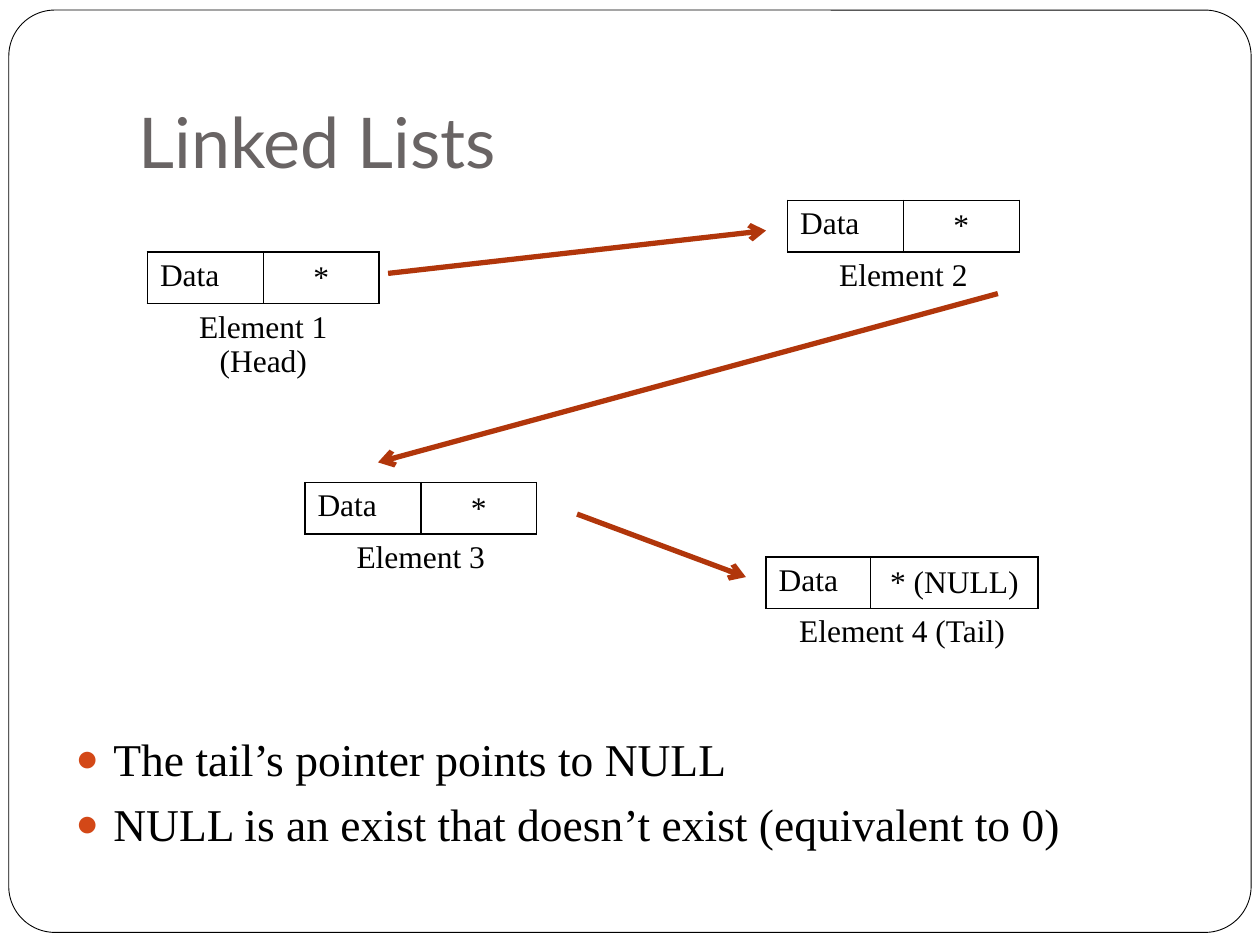
from lxml.etree import Element, SubElement
from pptx import Presentation
from pptx.dml.color import RGBColor
from pptx.enum.shapes import MSO_CONNECTOR as Connector, MSO_SHAPE as Shape
from pptx.enum.text import MSO_ANCHOR as Anchor, MSO_AUTO_SIZE as AutoSize, PP_ALIGN as Align
from pptx.oxml.ns import qn
from pptx.util import Inches, Pt

COLORS = {
    "paper": "FFFFFF",
    "ink": "000000",
    "title": "696464",
    "bullet": "D34817",
    "arrow": "B1360B",
}
TITLE_FONT = "Lato"
TEXT_FONT = "Times New Roman"
PLAIN_TABLE_STYLE = "{2D5ABB26-0587-4C30-8999-92F81FD0307C}"
ROW_HEIGHT = 0.41


def color(name):
    return RGBColor.from_string(COLORS[name])


class SlideBuilder:
    def __init__(self, page):
        self.page = page

    def style(self, para, size, font=TEXT_FONT, ink="ink", align=Align.LEFT):
        para.alignment = align
        para.font.size = Pt(size)
        para.font.name = font
        para.font.color.rgb = color(ink)

    def place(self, shape, left, top, width, height):
        shape.left, shape.top = Inches(left), Inches(top)
        shape.width, shape.height = Inches(width), Inches(height)

    def frame(self, left, top, width, height):
        """Draw the rounded page border behind everything else."""
        box = self.page.shapes.add_shape(
            Shape.ROUNDED_RECTANGLE, Inches(left), Inches(top), Inches(width), Inches(height))
        box.adjustments[0] = 0.05
        box.shadow.inherit = False
        box.fill.solid()
        box.fill.fore_color.rgb = color("paper")
        box.line.color.rgb = color("ink")
        box.line.width = Pt(0.5)
        self.page.shapes[0].element.addprevious(box.element)

    def title(self, text, *place):
        box = self.page.shapes.title
        self.place(box, *place)
        text_frame = box.text_frame
        text_frame.text = text
        text_frame.auto_size = AutoSize.NONE
        text_frame.vertical_anchor = Anchor.BOTTOM
        text_frame.margin_bottom = Inches(0.1)
        self.style(text_frame.paragraphs[0], 40, TITLE_FONT, "title")

    def bullets(self, lines, *place):
        box = self.page.placeholders[1]
        self.place(box, *place)
        box.text_frame.text = "\n".join(lines)
        box.text_frame.auto_size = AutoSize.NONE
        for para in box.text_frame.paragraphs:
            self.style(para, 26)
            para.space_before = Pt(5.8)
            props = para._p.get_or_add_pPr()
            props.set("marL", str(Inches(0.3)))
            props.set("indent", str(-Inches(0.3)))
            SubElement(SubElement(props, qn("a:buClr")), qn("a:srgbClr"), val=COLORS["bullet"])
            SubElement(props, qn("a:buSzPct"), val="85000")
            SubElement(props, qn("a:buChar"), char="●")

    def borders(self, cell, visible_sides):
        props = cell._tc.get_or_add_tcPr()
        for index, side in enumerate("LRTB"):
            line = Element(qn(f"a:ln{side}"), w=str(Pt(1)))
            if side in visible_sides:
                fill = SubElement(line, qn("a:solidFill"))
                SubElement(fill, qn("a:srgbClr"), val=COLORS["ink"])
            else:
                SubElement(line, qn("a:noFill"))
            props.insert(index, line)

    def node(self, left, top, caption, pointer="*", widths=(0.92, 0.92)):
        """Draw a list element: data and pointer cells above a merged caption."""
        table = self.page.shapes.add_table(
            2, 2, Inches(left), Inches(top), Inches(sum(widths)), Inches(2 * ROW_HEIGHT)).table
        table.first_row = table.horz_banding = False
        table._tbl.tblPr.find(qn("a:tableStyleId")).text = PLAIN_TABLE_STYLE
        for column, width in zip(table.columns, widths):
            column.width = Inches(width)
        for row in table.rows:
            row.height = Inches(ROW_HEIGHT)
        table.cell(1, 0).merge(table.cell(1, 1))
        contents = [
            (0, 0, "Data", Align.LEFT, Anchor.TOP),
            (0, 1, pointer, Align.CENTER, Anchor.MIDDLE),
            (1, 0, caption, Align.CENTER, Anchor.TOP),
        ]
        for row, column, text, align, anchor in contents:
            cell = table.cell(row, column)
            cell.text = text
            cell.vertical_anchor = anchor
            cell.fill.background()
            self.style(cell.text_frame.paragraphs[0], 18, align=align)
        for row, sides in enumerate(("LRTB", "T")):
            for column in range(2):
                self.borders(table.cell(row, column), sides)

    def arrow(self, start, end):
        line = self.page.shapes.add_connector(
            Connector.STRAIGHT, *(Inches(value) for value in (*start, *end)))
        line.line.color.rgb = color("arrow")
        line.line.width = Pt(3)
        SubElement(line.line._get_or_add_ln(), qn("a:tailEnd"), type="arrow")
        SubElement(line.element.spPr, qn("a:effectLst"))


def main():
    deck = Presentation()
    deck.slide_width, deck.slide_height = Inches(10), Inches(7.5)
    slide = SlideBuilder(deck.slides.add_slide(deck.slide_layouts[1]))

    slide.frame(0.07, 0.08, 9.86, 7.32)
    slide.title("Linked Lists", 1, 0.3, 8.5, 1.25)
    slide.bullets([
        "The tail’s pointer points to NULL",
        "NULL is an exist that doesn’t exist (equivalent to 0)",
    ], 0.5, 5.75, 9, 1.17)

    slide.node(1.17, 2, "Element 1 (Head)")
    slide.node(6.25, 1.59, "Element 2")
    slide.node(2.42, 3.83, "Element 3")
    slide.node(6.08, 4.42, "Element 4 (Tail)", "* (NULL)", (0.83, 1.33))

    slide.arrow((3.08, 2.17), (6.08, 1.83))
    slide.arrow((7.92, 2.33), (3, 3.67))
    slide.arrow((4.58, 4.08), (5.92, 4.58))

    deck.save("out.pptx")


if __name__ == "__main__":
    main()
